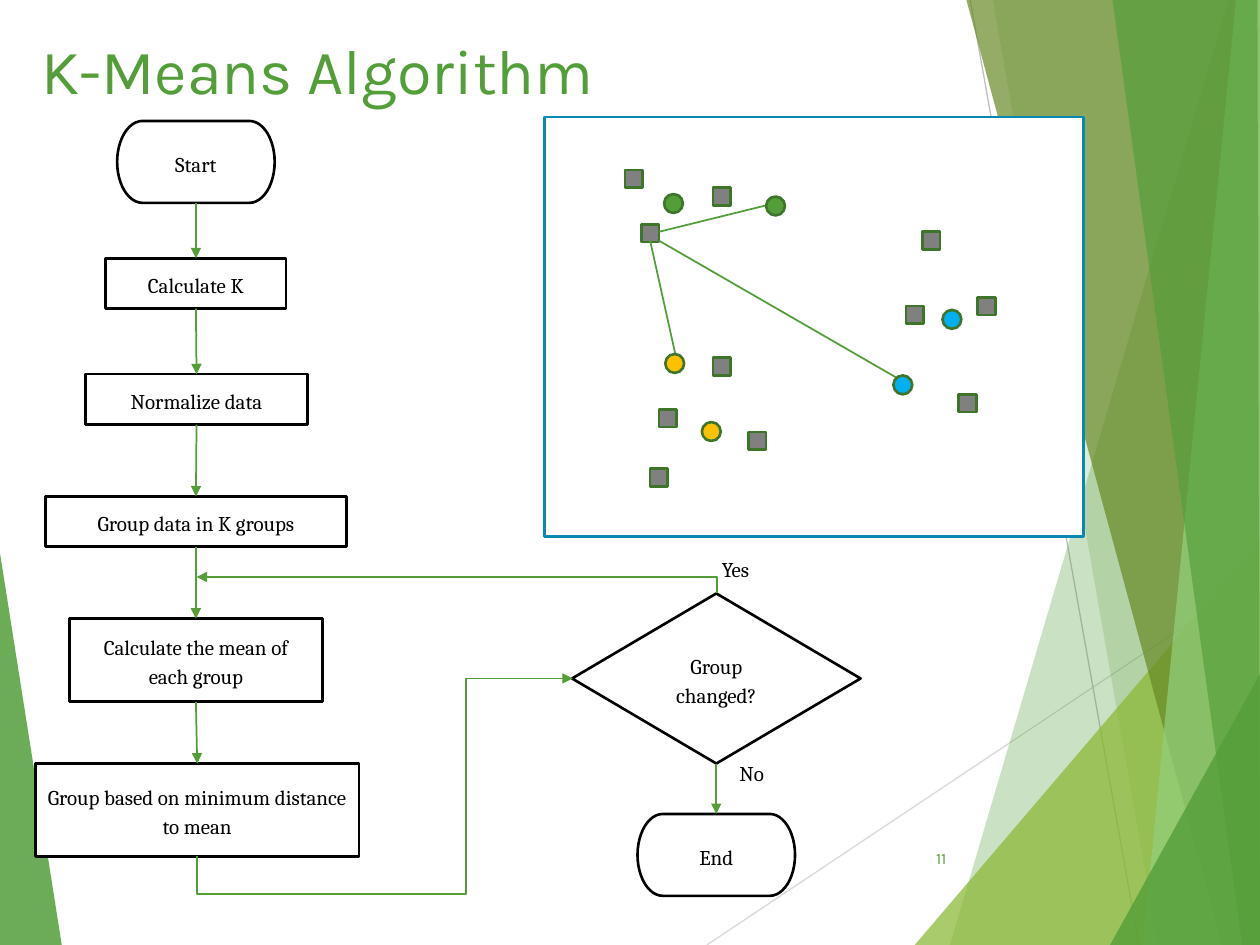
from dataclasses import dataclass
from itertools import pairwise

from lxml import etree
from pptx import Presentation
from pptx.dml.color import RGBColor
from pptx.enum.shapes import MSO_CONNECTOR, MSO_SHAPE
from pptx.enum.text import MSO_ANCHOR, PP_ALIGN
from pptx.oxml.ns import qn
from pptx.util import Inches, Pt

RECTANGLE, OVAL = MSO_SHAPE.RECTANGLE, MSO_SHAPE.OVAL
DECISION, TERMINATOR = MSO_SHAPE.FLOWCHART_DECISION, MSO_SHAPE.FLOWCHART_TERMINATOR
STRAIGHT, ELBOW = MSO_CONNECTOR.STRAIGHT, MSO_CONNECTOR.ELBOW
LEFT, CENTER, RIGHT = PP_ALIGN.LEFT, PP_ALIGN.CENTER, PP_ALIGN.RIGHT
TOP, MIDDLE = MSO_ANCHOR.TOP, MSO_ANCHOR.MIDDLE

COLORS = {
    "green": "549E39", "lime": "8AB833", "olive": "678A26", "mint": "93D07D",
    "dark_green": "3E752A", "white": "FFFFFF", "black": "000000",
    "teal": "0989B1", "gray": "808080", "silver": "BFBFBF",
    "light_gray": "D9D9D9", "gold": "FFC000", "blue": "00B0F0",
}
POINT_SIZE, CENTROID_SIZE = 0.14, 0.15

Point = tuple[float, float]


@dataclass(frozen=True)
class Facet:
    color: str
    opacity: int
    corners: tuple[Point, ...]


@dataclass(frozen=True)
class Step:
    text: str
    left: float
    top: float
    width: float
    height: float
    kind: int = RECTANGLE

    @property
    def bottom(self) -> float:
        return self.top + self.height

    @property
    def center(self) -> float:
        return self.left + self.width / 2


@dataclass(frozen=True)
class Elbow:
    preset: str
    left: float
    top: float
    width: float
    height: float
    rotation: int
    flips: tuple[str, ...]
    adjustments: tuple[float, ...] = ()


FACETS = (
    Facet("green", 30, ((9.75, 0), (7.54, 7.5), (10, 7.5), (10, 0))),
    Facet("green", 20, ((7.88, 0), (9.19, 7.5), (10, 7.5), (10, 0))),
    Facet("lime", 72, ((7.26, 7.5), (10, 4.29), (10, 7.5))),
    Facet("olive", 70, ((7.67, 0), (9.7, 7.5), (10, 7.5), (10, 0))),
    Facet("mint", 70, ((9.81, 0), (9.07, 7.5), (10, 7.5), (10, 0))),
    Facet("green", 65, ((8.83, 0), (9.86, 7.5), (10, 7.5), (9.98, 0))),
    Facet("green", 80, ((8.81, 7.5), (10, 5.35), (10, 7.5))),
)
LEFT_FACET = Facet("green", 85, ((0, 4.39), (0.49, 7.5), (0, 7.5)))

MAIN_STEPS = (
    Step("Start", 0.93, 0.96, 1.25, 0.65, TERMINATOR),
    Step("Calculate K", 0.84, 2.05, 1.43, 0.4),
    Step("Normalize data", 0.68, 2.97, 1.76, 0.4),
    Step("Group data in K groups", 0.36, 3.94, 2.39, 0.4),
    Step("Calculate the mean of each group", 0.55, 4.91, 2.01, 0.66),
    Step("Group based on minimum distance to mean", 0.28, 6.06, 2.57, 0.74),
)
FINAL_STEPS = (
    Step("Group changed?", 4.54, 4.71, 2.29, 1.35, DECISION),
    Step("End", 5.06, 6.46, 1.25, 0.65, TERMINATOR),
)
ELBOWS = (
    Elbow("bentConnector4", 2.35, 4.6, 1.41, 2.98, 90, ("flipH", "flipV"), (-0.215, 0.715)),
    Elbow("bentConnector2", 3.56, 2.58, 0.13, 4.13, 270, ("flipV",)),
)
DATA_POINTS = (
    (4.96, 1.35), (5.09, 1.78), (5.66, 1.49), (7.32, 1.84), (7.19, 2.43), (7.76, 2.36),
    (7.61, 3.13), (5.66, 2.84), (5.23, 3.25), (5.94, 3.43), (5.16, 3.72),
)
CENTROIDS = {
    "green": ((6.08, 1.56), (5.27, 1.54)),
    "gold": ((5.28, 2.81), (5.57, 3.35)),
    "blue": ((7.09, 2.98), (7.48, 2.46)),
}
DISTANCES = (
    ((5.23, 1.84), (6.08, 1.63)),
    ((5.16, 1.91), (5.36, 2.81)),
    ((5.23, 1.91), (7.12, 3)),
)


def rgb(color: str) -> RGBColor:
    return RGBColor.from_string(COLORS[color])


def draw_facet(page, facet: Facet) -> None:
    start, *others = [(Inches(x), Inches(y)) for x, y in facet.corners]
    builder = page.shapes.build_freeform(*start)
    builder.add_line_segments(others, close=True)
    shape = builder.convert_to_shape()
    shape.shadow.inherit = False
    shape.line.fill.background()
    shape.fill.solid()
    shape.fill.fore_color.rgb = rgb(facet.color)
    tint = shape.fill._xPr.find(".//" + qn("a:srgbClr"))
    etree.SubElement(tint, qn("a:alpha"), val=str(facet.opacity * 1000))


def draw_line(page, start: Point, end: Point, color: str = "green",
              width: float = 1, arrow: bool = False, kind: int = STRAIGHT):
    line = page.shapes.add_connector(kind, *map(Inches, (*start, *end)))
    line.line.color.rgb = rgb(color)
    line.line.width = Pt(width)
    properties = line._element.spPr
    if arrow:
        etree.SubElement(properties.find(qn("a:ln")), qn("a:tailEnd"), type="triangle")
    etree.SubElement(properties, qn("a:effectLst"))
    return line


def draw_elbow(page, elbow: Elbow) -> None:
    end = (elbow.left + elbow.width, elbow.top + elbow.height)
    line = draw_line(page, (elbow.left, elbow.top), end, arrow=True, kind=ELBOW)
    properties = line._element.spPr
    frame = properties.find(qn("a:xfrm"))
    frame.set("rot", str(elbow.rotation * 60000))
    for flip in elbow.flips:
        frame.set(flip, "1")
    geometry = properties.find(qn("a:prstGeom"))
    geometry.set("prst", elbow.preset)
    for number, value in enumerate(elbow.adjustments, 1):
        etree.SubElement(geometry.find(qn("a:avLst")), qn("a:gd"),
                         name=f"adj{number}", fmla=f"val {round(value * 100000)}")


def draw_shape(page, kind: int, left: float, top: float, width: float,
               height: float, fill: str, outline: str):
    shape = page.shapes.add_shape(kind, *map(Inches, (left, top, width, height)))
    shape.shadow.inherit = False
    shape.fill.solid()
    shape.fill.fore_color.rgb = rgb(fill)
    shape.line.color.rgb = rgb(outline)
    shape.line.width = Pt(1.5)
    return shape


def write(box, text: str, size: float = 12, font: str = "Cambria", color: str = "black",
          align: int = CENTER, anchor: int = MIDDLE, wrap: bool = True,
          spaced: bool = True) -> None:
    frame = box.text_frame
    frame.word_wrap = wrap
    frame.vertical_anchor = anchor
    para = frame.paragraphs[0]
    para.alignment = align
    if spaced:
        para.line_spacing = 1.15
        para.space_after = Pt(10)
    span = para.add_run()
    span.text = text
    span.font.size = Pt(size)
    span.font.name = font
    span.font.color.rgb = rgb(color)


def add_box(page, left: float, top: float, width: float, height: float):
    return page.shapes.add_textbox(*map(Inches, (left, top, width, height)))


def draw_flow(page, steps: tuple[Step, ...]) -> None:
    for step in steps:
        shape = draw_shape(page, step.kind, step.left, step.top, step.width,
                           step.height, "white", "black")
        write(shape, step.text)
    for step, following in pairwise(steps):
        draw_line(page, (step.center, step.bottom), (following.center, following.top), arrow=True)


def main() -> None:
    deck = Presentation()
    deck.slide_width, deck.slide_height = Inches(10), Inches(7.5)
    page = deck.slides.add_slide(deck.slide_layouts[6])

    draw_facet(page, LEFT_FACET)
    draw_line(page, (5.61, 7.5), (10, 4.57), "light_gray", 0.75)
    draw_line(page, (7.7, 0), (9.04, 7.5), "silver", 0.75)
    for facet in FACETS:
        draw_facet(page, facet)

    write(add_box(page, 0.23, 0.17, 6.94, 0.76), "K-Means Algorithm", 36, "Karla",
          "green", LEFT, spaced=False)
    write(add_box(page, 7.05, 6.61, 0.56, 0.4), "11", 9, "Karla", "green", RIGHT, spaced=False)

    draw_flow(page, MAIN_STEPS)
    draw_flow(page, FINAL_STEPS)
    for elbow in ELBOWS:
        draw_elbow(page, elbow)
    write(add_box(page, 5.63, 4.34, 0.55, 0.49), "Yes", align=LEFT, anchor=TOP, wrap=False)
    write(add_box(page, 5.77, 5.96, 0.49, 0.49), "No", align=LEFT, anchor=TOP, wrap=False)

    draw_shape(page, RECTANGLE, 4.32, 0.93, 4.28, 3.33, "white", "teal")
    for left, top in DATA_POINTS:
        draw_shape(page, RECTANGLE, left, top, POINT_SIZE, POINT_SIZE, "gray", "dark_green")
    for start, end in DISTANCES:
        draw_line(page, start, end)
    for color, places in CENTROIDS.items():
        for left, top in places:
            draw_shape(page, OVAL, left, top, CENTROID_SIZE, CENTROID_SIZE, color, "dark_green")

    deck.save("out.pptx")


if __name__ == "__main__":
    main()
